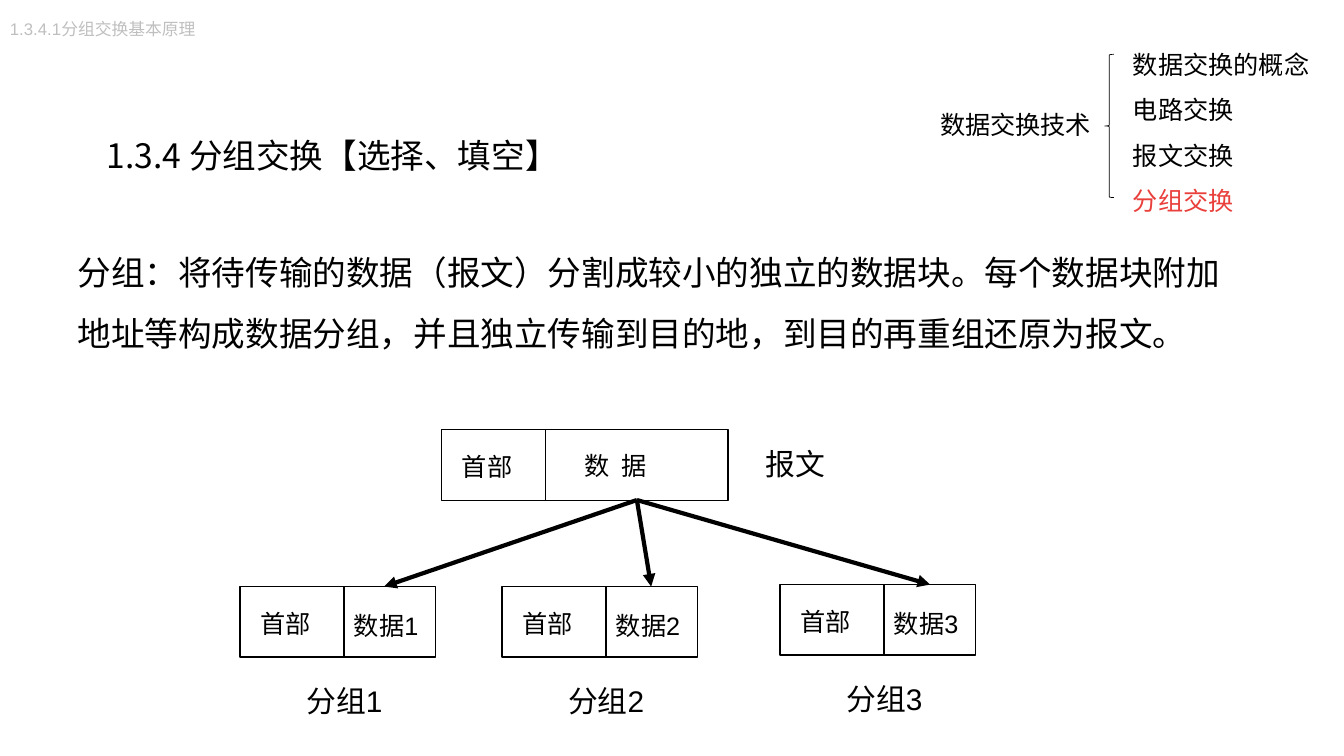
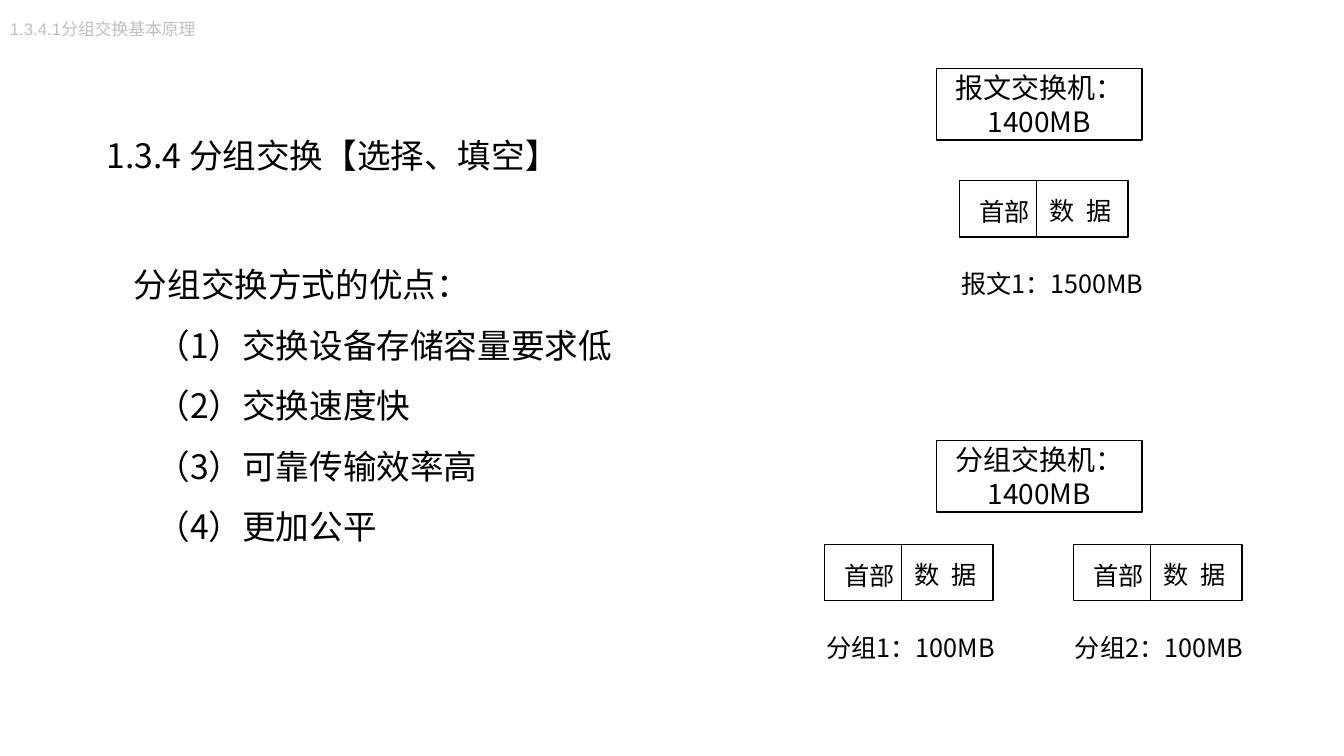
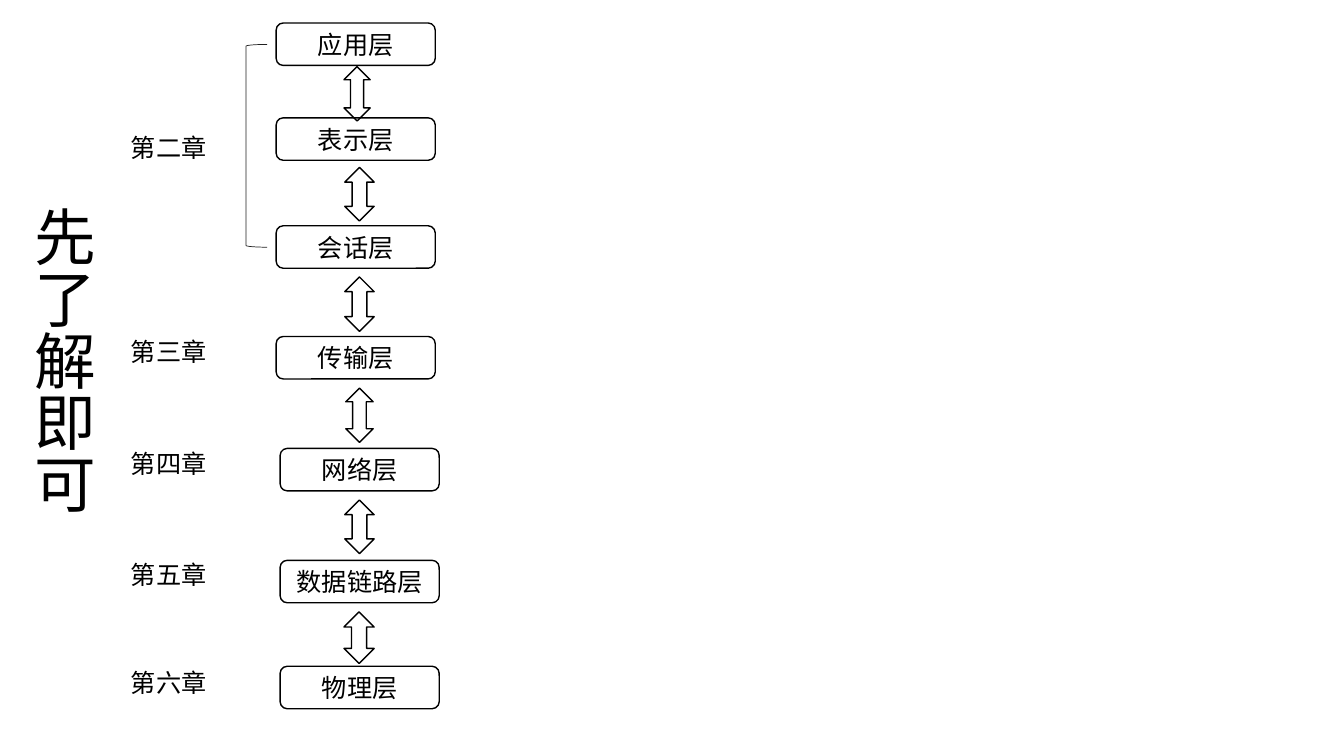
"""Build three lecture slides on packet switching and the layered model."""
from dataclasses import dataclass

from lxml import etree
from pptx import Presentation
from pptx import util as u
from pptx.dml.color import RGBColor
from pptx.enum import shapes, text
from pptx.oxml.ns import qn

SHAPE = shapes.MSO_SHAPE
ALIGN = text.PP_ALIGN
ANCHOR = text.MSO_ANCHOR


@dataclass(frozen=True)
class Theme:
    """Colours, fonts and type sizes shared by the slides."""
    ink: str = "000000"
    paper: str = "FFFFFF"
    muted: str = "BFBFBF"
    accent: str = "E9403C"
    bracket: str = "202020"
    latin: str = "Arial"
    cjk: str = "Noto Sans CJK SC"
    crumb: float = 12
    label: float = 18
    switch: float = 20
    caption: float = 21.3
    heading: float = 24
    banner: float = 44
    hairline: float = 0.5
    outline: float = 1
    arrow: float = 3
    word_gap: str = "220"


@dataclass(frozen=True)
class Frame:
    """Sizes of a header cell joined to a data cell, with label boxes (dx, dy, width)."""
    head: float
    data: float
    height: float
    head_label: tuple
    data_label: tuple
    font: str


THEME = Theme()
MESSAGE = Frame(2.62, 4.6, 1.78, (0.26, 0.42, 2.01), (0.74, 0.4, 3.86), THEME.latin)
PACKET = Frame(2.62, 2.31, 1.78, (0.27, 0.43, 2.01), (0, 0.48, 2.34), THEME.latin)
UNIT = Frame(1.94, 2.31, 1.42, (0.26, 0.27, 2.06), (0.08, 0.24, 2.24), THEME.cjk)
SPACED_DATA = "数 据"


def cm(*lengths):
    """Turn centimetre numbers into lengths."""
    return [u.Cm(length) for length in lengths]


def assign(target, values):
    """Set every attribute named in a dict of format values."""
    for name, value in values.items():
        setattr(target, name, value)


def write(shape, lines, size, font=THEME.latin, color=THEME.ink, spacing=1.0,
          align=ALIGN.LEFT, anchor=ANCHOR.TOP):
    """Fill a shape with formatted lines and return its paragraphs."""
    frame = shape.text_frame
    frame.text = "\n".join(lines)
    assign(frame, {"word_wrap": True, "auto_size": text.MSO_AUTO_SIZE.NONE,
                   "vertical_anchor": anchor})
    for paragraph in frame.paragraphs:
        assign(paragraph, {"alignment": align, "line_spacing": spacing,
                           "space_before": u.Pt(0)})
        for run in paragraph.runs:
            assign(run.font, {"size": u.Pt(size), "name": font})
            run.font.color.rgb = RGBColor.from_string(color)
            properties = run._r.get_or_add_rPr()
            etree.SubElement(properties, qn("a:ea")).set("typeface", THEME.cjk)
            if run.text == SPACED_DATA:
                properties.set("spc", THEME.word_gap)
    return frame.paragraphs


def label(slide, box, lines, size=THEME.label, **style):
    """Add a text box at a (left, top, width, height) box."""
    return write(slide.shapes.add_textbox(*cm(*box)), lines, size, **style)


def place(placeholder, box):
    """Move a placeholder to a box."""
    assign(placeholder, dict(zip(("left", "top", "width", "height"), cm(*box))))
    return placeholder


def outlined(slide, kind, box, fill=None, color=THEME.ink, width=THEME.outline):
    """Add a preset shape with a thin outline."""
    shape = slide.shapes.add_shape(kind, *cm(*box))
    shape.shadow.inherit = False
    if fill:
        shape.fill.solid()
        shape.fill.fore_color.rgb = RGBColor.from_string(fill)
    else:
        shape.fill.background()
    shape.line.color.rgb = RGBColor.from_string(color)
    shape.line.width = u.Pt(width)
    return shape


def arrow(slide, start, end):
    """Add a thick straight arrow."""
    line = slide.shapes.add_connector(shapes.MSO_CONNECTOR.STRAIGHT, *cm(*start, *end))
    line.line.color.rgb = RGBColor.from_string(THEME.ink)
    line.line.width = u.Pt(THEME.arrow)
    properties = line._element.spPr
    etree.SubElement(properties.get_or_add_ln(), qn("a:tailEnd")).set("type", "triangle")
    etree.SubElement(properties, qn("a:effectLst"))


def data_frame(slide, left, top, frame, data_text=SPACED_DATA):
    """Draw a header cell and a data cell side by side."""
    cells = ((left, frame.head, "首部", frame.head_label),
             (left + frame.head, frame.data, data_text, frame.data_label))
    for x, width, _, _ in cells:
        outlined(slide, SHAPE.RECTANGLE, (x, top, width, frame.height), THEME.paper)
    for x, _, words, (dx, dy, width) in cells:
        label(slide, (x + dx, top + dy, width, 1.02), [words], font=frame.font)


def body(slide, box, lines, font, item_indent=0):
    """Fill the body placeholder, indenting every line after the first."""
    paragraphs = write(place(slide.placeholders[1], box), lines, THEME.heading,
                       font=font, spacing=1.5)
    for index, paragraph in enumerate(paragraphs):
        properties = paragraph._p.get_or_add_pPr()
        properties.set("marL", str(u.Cm(item_indent if index else 0)))
        properties.set("indent", "0")
        etree.SubElement(properties, qn("a:buNone"))


def section_slide(deck):
    """Add a slide with the section heading and breadcrumb."""
    slide = deck.slides.add_slide(deck.slide_layouts[1])
    write(place(slide.shapes.title, (2.44, 2.77, 13.61, 1.8)),
          ["1.3.4 分组交换【选择、填空】"], THEME.heading, font=THEME.cjk, spacing=1.5)
    label(slide, (0, 0.36, 5.23, 0.76), ["1.3.4.1分组交换基本原理"],
          THEME.crumb, color=THEME.muted)
    return slide


def principle_slide(deck):
    """Show how a message is split into packets."""
    slide = section_slide(deck)
    label(slide, (23.44, 2.64, 6.38, 1.02), ["数据交换技术"])
    outlined(slide, SHAPE.LEFT_BRACE, (27.84, 1.37, 0.23, 3.61), width=THEME.hairline)
    topics = label(slide, (28.3, 0.74, 5.28, 4.88),
                   ["数据交换的概念", "电路交换", "报文交换", "分组交换"], spacing=1.5)
    topics[-1].runs[0].font.color.rgb = RGBColor.from_string(THEME.accent)
    body(slide, (1.7, 5.72, 29.85, 3.15),
         ["分组：将待传输的数据（报文）分割成较小的独立的数据块。每个数据块附加地址等构成数据分组，"
          "并且独立传输到目的地，到目的再重组还原为报文。"], THEME.latin)
    data_frame(slide, 11.13, 10.83, MESSAGE)
    label(slide, (19.05, 11.1, 2.51, 1.17), ["报文"], THEME.caption)
    packets = ((6.05, 14.78, 9.68), (12.65, 14.78, 16.41), (19.66, 14.73, 23.44))
    for number, (left, top, target) in enumerate(packets, 1):
        data_frame(slide, left, top, PACKET, f"数据{number}")
        label(slide, (left + 1.42, top + 2.29, 2.51, 1.17), [f"分组{number}"], THEME.caption)
        arrow(slide, (16.05, 12.6), (target, top))


def advantages_slide(deck):
    """List the advantages beside a storage comparison."""
    slide = section_slide(deck)
    body(slide, (3.12, 6.02, 15.72, 7.95),
         ["分组交换方式的优点：", "（1）交换设备存储容量要求低", "（2）交换速度快",
          "（3）可靠传输效率高", "（4）更加公平"], THEME.cjk, item_indent=0.57)
    for top, switch in ((1.73, "报文交换机："), (11.1, "分组交换机：")):
        box = outlined(slide, SHAPE.RECTANGLE, (23.6, top, 5.18, 1.8), THEME.paper)
        write(box, [switch, "1400MB"], THEME.switch, font=THEME.cjk,
              align=ALIGN.CENTER, anchor=ANCHOR.MIDDLE)
    units = ((24.18, 4.55, 5.41, "报文1：1500MB"),
             (20.78, 13.72, 4.93, "分组1：100MB"),
             (27.05, 13.72, 4.93, "分组2：100MB"))
    for left, top, width, caption in units:
        data_frame(slide, left, top, UNIT)
        label(slide, (left - 0.21, top + 2.08, width, 1.02), [caption], font=THEME.cjk)


def layers_slide(deck):
    """Stack the seven layers with their chapters."""
    slide = deck.slides.add_slide(deck.slide_layouts[5])
    title = place(slide.shapes.title, (0.38, 5.08, 2.39, 8.66))
    write(title, ["先了解即可"], THEME.banner, align=ALIGN.CENTER)
    title.text_frame._txBody.bodyPr.set("vert", "eaVert")
    layers = (("应用层", 6.96, 0.58), ("表示层", 6.96, 2.97), ("会话层", 6.96, 5.69),
              ("传输层", 6.96, 8.48), ("网络层", 7.06, 11.3), ("数据链路层", 7.06, 14.12),
              ("物理层", 7.06, 16.79))
    for layer, left, top in layers:
        box = outlined(slide, SHAPE.ROUNDED_RECTANGLE, (left, top, 4.01, 1.07))
        write(box, [layer], THEME.label, align=ALIGN.CENTER, anchor=ANCHOR.MIDDLE)
    links = ((9, 1.68, 0.66, 1.37), (9.06, 4.22, 0.74, 1.35), (9.06, 6.98, 0.74, 1.37),
             (9.06, 9.78, 0.69, 1.37), (9.06, 12.6, 0.74, 1.35), (9.05, 15.42, 0.76, 1.3))
    for center, top, width, height in links:
        outlined(slide, SHAPE.UP_DOWN_ARROW, (center - width / 2, top, width, height))
    outlined(slide, SHAPE.LEFT_BRACKET, (6.2, 1.12, 0.53, 5.11),
             color=THEME.bracket, width=THEME.hairline)
    chapters = (("第二章", 3.2), ("第三章", 8.36), ("第四章", 11.18),
                ("第五章", 13.97), ("第六章", 16.69))
    for chapter, top in chapters:
        label(slide, (3.05, top, 3.15, 1.02), [chapter])


def main():
    """Build and save the deck."""
    deck = Presentation()
    assign(deck, {"slide_width": u.Cm(33.87), "slide_height": u.Cm(19.05)})
    for build in (principle_slide, advantages_slide, layers_slide):
        build(deck)
    deck.save("out.pptx")


if __name__ == "__main__":
    main()
